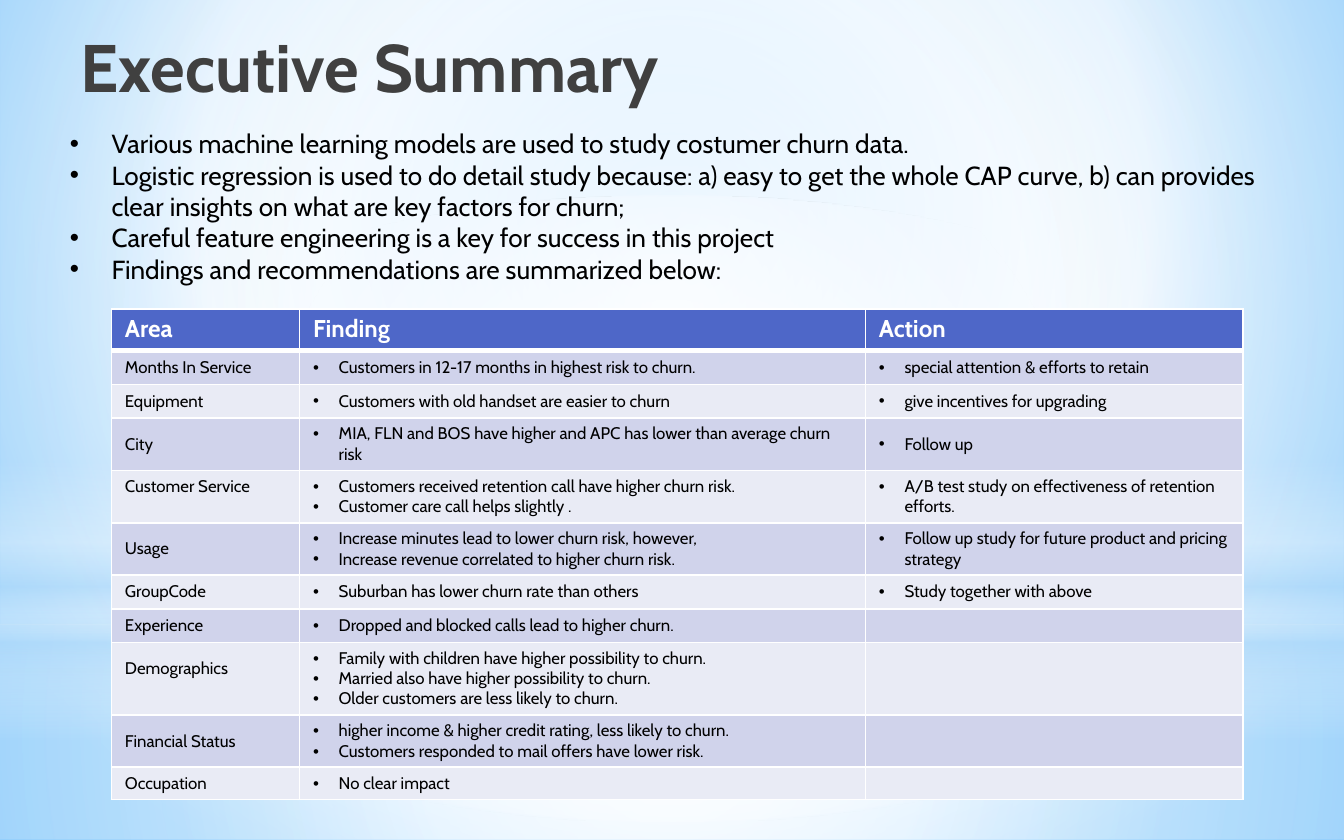
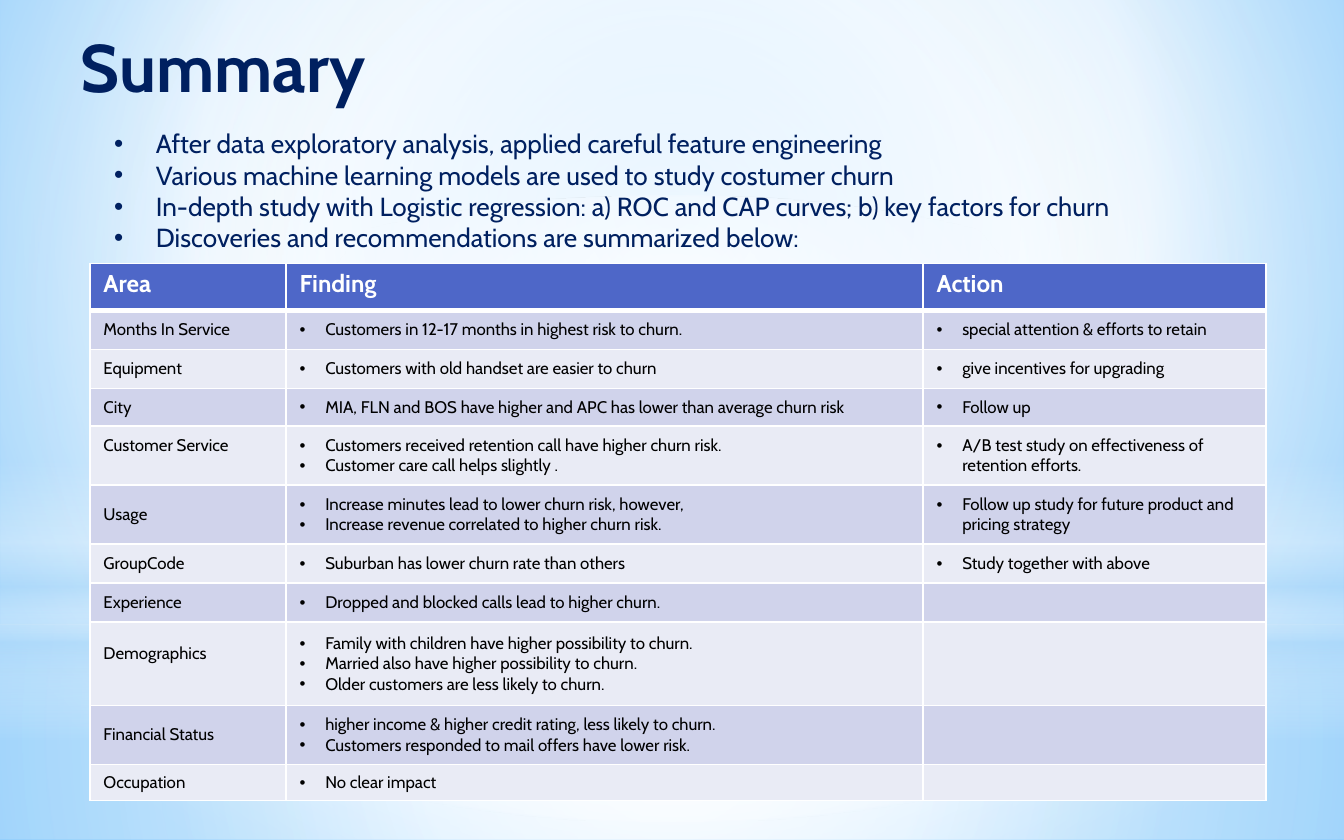
from lxml.etree import SubElement as Sub
from pptx import Presentation
from pptx.dml.color import RGBColor
from pptx.enum.shapes import MSO_SHAPE as Shape
from pptx.enum.text import MSO_ANCHOR as Anchor, MSO_AUTO_SIZE as Auto, PP_ALIGN as Align
from pptx.oxml.ns import qn
from pptx.util import Inches, Pt

FONT = "Cabin"
WHITE, BLACK, NAVY = "FFFFFF", "000000", "002060"
HEAD, BANDS, SKY = "4E67C8", ("D0D3EB", "E9EBF5"), "B4DCFA"
CENTER = (50, 50, 50, 50)
TITLE_INK = [(0, BLACK, 100), (40, "404040", 100), (100, "212745", 65)]

# Table rows: area, findings, action
ROWS = [
    ("Area", "Finding", "Action"),
    ("Months In Service", "Customers in 12-17 months in highest risk to churn.",
     "special attention & efforts to retain"),
    ("Equipment", "Customers with old handset are easier to churn",
     "give incentives for upgrading"),
    ("City", "MIA, FLN and BOS have higher and APC has lower than average churn risk",
     "Follow up"),
    ("Customer Service", "Customers received retention call have higher churn risk.\n"
     "Customer care call helps slightly .",
     "A/B test study on effectiveness of retention efforts."),
    ("Usage", "Increase minutes lead to lower churn risk, however,\n"
     "Increase revenue correlated to higher churn risk.",
     "Follow up study for future product and pricing strategy"),
    ("GroupCode", "Suburban has lower churn rate than others", "Study together with above"),
    ("Experience", "Dropped and blocked calls lead to higher churn.", ""),
    ("Demographics", "Family with children have higher possibility to churn.\n"
     "Married also have higher possibility to churn.\n"
     "Older customers are less likely to churn.", ""),
    ("Financial Status", "higher income & higher credit rating, less likely to churn.\n"
     "Customers responded to mail offers have lower risk.", ""),
    ("Occupation", "No clear impact", ""),
]
RAISED = ("Customer Service", "Demographics")


def rgb(code):
    return RGBColor.from_string(code)


def blend(fill, owner, stops, rect=None, angle=90):
    """Give owner a gradient of (position, colour, opacity) stops."""
    fill.solid()
    old = owner.find(qn("a:solidFill"))
    grad = owner.makeelement(qn("a:gradFill"), {"rotWithShape": "1"})
    owner.replace(old, grad)
    group = Sub(grad, qn("a:gsLst"))
    for pos, code, alpha in stops:
        stop = Sub(group, qn("a:gs"), pos=str(pos * 1000))
        color = Sub(stop, qn("a:srgbClr"), val=code)
        if alpha < 100:
            Sub(color, qn("a:alpha"), val=str(alpha * 1000))
    if rect:
        way = Sub(grad, qn("a:path"), path="circle")
        Sub(way, qn("a:fillToRect"), {k: str(v * 1000) for k, v in zip("ltrb", rect)})
    else:
        Sub(grad, qn("a:lin"), ang=str(angle * 60000), scaled="0")


def style(para, size, code, bold=False):
    for run in para.runs:
        font = run.font
        font.name, font.size, font.bold = FONT, Pt(size), bold
        font.color.rgb = rgb(code)


def bullet(para, indent):
    props = para._p.get_or_add_pPr()
    props.set("marL", str(Inches(indent)))
    props.set("indent", str(-Inches(indent)))
    Sub(props, qn("a:buFont"), typeface="Arial")
    Sub(props, qn("a:buChar"), char="•")


def place(shape, box):
    shape.left, shape.top, shape.width, shape.height = map(Inches, box)


def backdrop(master, slide):
    """Background and soft light shapes, kept on the master."""
    bg = master.background.fill
    bg.solid()
    blend(bg, master.element.find(".//" + qn("p:bgPr")),
          [(0, "9ED5FF", 100), (60, WHITE, 100), (100, "5BB9FF", 100)], (20, 10, 20, 60))
    lights = [
        (Shape.RECTANGLE, (0, 4.65, 10, 1.6),
         [(0, WHITE, 91), (37, WHITE, 76), (100, SKY, 79)], CENTER),
        (Shape.RECTANGLE, (0, 0, 10, 4.65),
         [(0, WHITE, 89), (48, WHITE, 62), (100, SKY, 79)], CENTER),
        (Shape.RECTANGLE, (0, 3.43, 10, 2.08),
         [(0, WHITE, 0), (29, WHITE, 30), (45, SKY, 40), (55, WHITE, 26),
          (65, SKY, 60), (100, WHITE, 0)], None),
        (Shape.OVAL, (0, 1.46, 10, 4.65), [(0, WHITE, 100), (56, WHITE, 0)], CENTER),
    ]
    for i, (kind, box, stops, rect) in enumerate(lights):
        light = slide.shapes.add_shape(kind, *map(Inches, box))
        light.shadow.inherit = False
        light.line.fill.background()
        blend(light.fill, light._element.spPr, stops, rect)
        master.shapes._spTree.insert(2 + i, light._element)


def heading(slide, text, code, box=(0.5, 0.14, 9, 0.86)):
    title = slide.shapes.title
    place(title, box)
    frame = title.text_frame
    frame.text = text
    frame.vertical_anchor = Anchor.TOP
    para = frame.paragraphs[0]
    para.alignment = Align.LEFT
    style(para, 36, code or BLACK, True)
    if not code:
        run = para.runs[0]
        blend(run.font.fill, run._r.rPr, TITLE_INK)


def points(slide, lines, code, box):
    body = slide.placeholders[1]
    place(body, box)
    frame = body.text_frame
    frame.text = "\n".join(lines)
    frame.auto_size = Auto.SHAPE_TO_FIT_TEXT
    for para in frame.paragraphs:
        para.space_before = Pt(0)
        bullet(para, 0.31)
        style(para, 14, code)


def border(cell, top=1, bottom=1):
    props = cell._tc.get_or_add_tcPr()
    for side, width in zip("LRTB", (1, 1, top, bottom)):
        line = Sub(props, qn("a:ln" + side), w=str(Pt(width)))
        Sub(Sub(line, qn("a:solidFill")), qn("a:srgbClr"), val=WHITE)


def fill_cell(cell, text, row, col):
    border(cell, 3 if row == 1 else 1, 3 if row == 0 else 1)
    cell.fill.solid()
    cell.fill.fore_color.rgb = rgb(BANDS[(row - 1) % 2] if row else HEAD)
    cell.margin_top = cell.margin_bottom = Inches(0.04)
    if text in RAISED:
        cell.margin_bottom = Inches(0.19)
    cell.vertical_anchor = Anchor.MIDDLE if row else Anchor.TOP
    cell.text_frame.text = text
    for para in cell.text_frame.paragraphs:
        if not text:
            Sub(para._p, qn("a:endParaRPr"), sz="900")
        elif row and col:
            bullet(para, 0.19)
        style(para, 9 if row else 13, BLACK if row else WHITE, not row)


def findings(slide, box, cols, heights):
    table = slide.shapes.add_table(len(ROWS), len(cols), *map(Inches, box)).table
    table.horz_banding = False
    for col, width in zip(table.columns, cols):
        col.width = Inches(width)
    for r, (height, texts) in enumerate(zip(heights, ROWS)):
        table.rows[r].height = Inches(height)
        for c, text in enumerate(texts):
            fill_cell(table.cell(r, c), text, r, c)


def main():
    deck = Presentation()
    deck.slide_width, deck.slide_height = Inches(10), Inches(6.25)
    layout = deck.slide_layouts[1]

    # Executive summary
    slide = deck.slides.add_slide(layout)
    backdrop(deck.slide_master, slide)
    heading(slide, "Executive Summary", None)
    points(slide, [
        "Various machine learning models are used to study costumer churn data.",
        "Logistic regression is used to do detail study because: a) easy to get the whole "
        "CAP curve, b) can provides clear insights on what are key factors for churn;",
        "Careful feature engineering is a key for success in this project",
        "Findings and recommendations are summarized below:",
    ], BLACK, (0.42, 0.9, 9.17, 1.28))
    findings(slide, (0.83, 2.3, 8.42, 3.66), (1.4, 4.21, 2.81),
             (0.31, 0.25, 0.25, 0.39, 0.39, 0.39, 0.25, 0.25, 0.54, 0.39, 0.24))

    # Closing summary
    slide = deck.slides.add_slide(layout)
    heading(slide, "Summary", NAVY)
    points(slide, [
        "After data exploratory analysis, applied careful feature engineering",
        "Various machine learning models are used to study costumer churn",
        "In-depth study with Logistic regression: a) ROC and CAP curves; b) key factors for churn",
        "Discoveries and recommendations are summarized below:",
    ], NAVY, (0.75, 0.9, 8.5, 1.04))
    findings(slide, (0.67, 1.96, 8.75, 4.01), (1.46, 4.74, 2.55),
             (0.35, 0.29, 0.29, 0.28, 0.44, 0.44, 0.29, 0.29, 0.62, 0.44, 0.27))

    deck.save("out.pptx")


if __name__ == "__main__":
    main()
